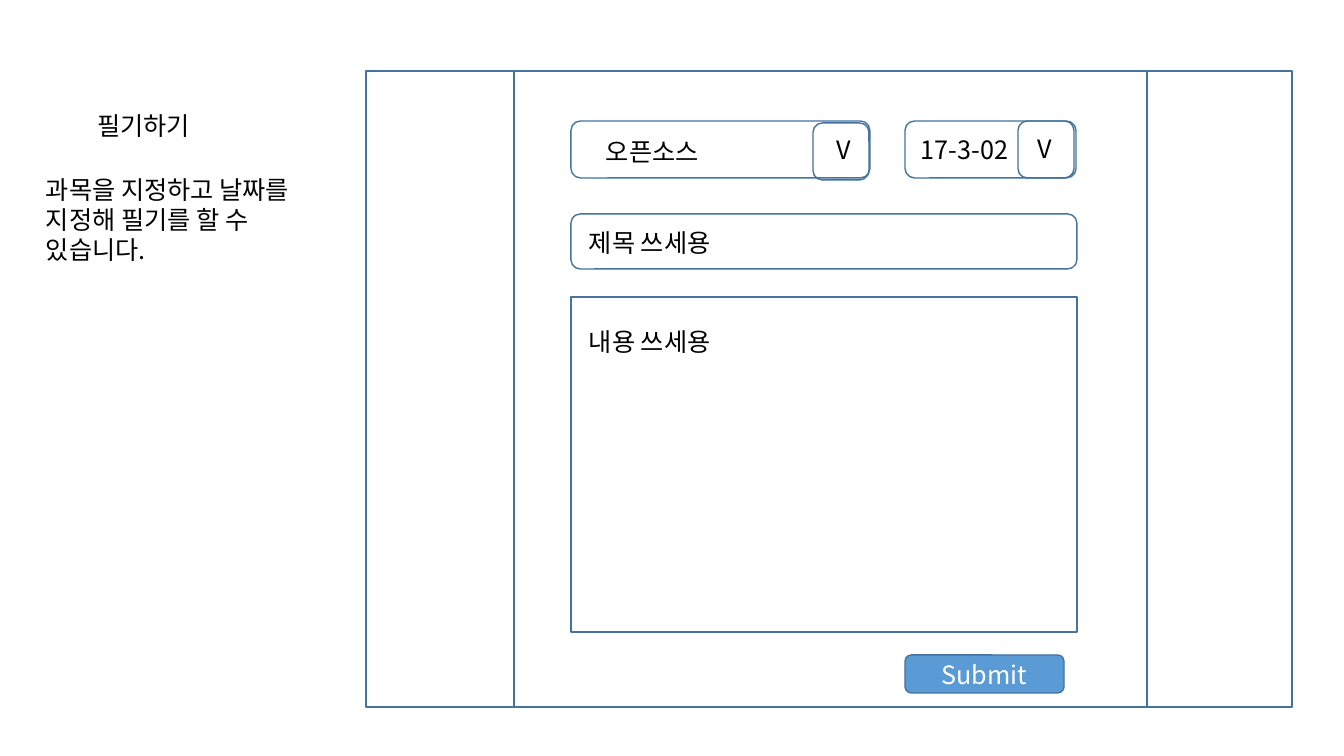
from dataclasses import dataclass

from lxml import etree
from pptx import Presentation
from pptx.dml.color import RGBColor
from pptx.enum.shapes import MSO_SHAPE
from pptx.enum.text import MSO_ANCHOR, MSO_AUTO_SIZE, PP_ALIGN
from pptx.oxml.ns import qn
from pptx.util import Pt

RECT = MSO_SHAPE.RECTANGLE
ROUND = MSO_SHAPE.ROUNDED_RECTANGLE
TOP, MIDDLE = MSO_ANCHOR.TOP, MSO_ANCHOR.MIDDLE
LEFT, CENTER = PP_ALIGN.LEFT, PP_ALIGN.CENTER
GROW = MSO_AUTO_SIZE.SHAPE_TO_FIT_TEXT
SCALE = 914400 / 100.8
TITLE_ONLY = 5


@dataclass(frozen=True)
class Theme:
    """Colours, type and line sizes of the slide."""
    ink: RGBColor = RGBColor(0, 0, 0)
    white: RGBColor = RGBColor(255, 255, 255)
    line: RGBColor = RGBColor.from_string("43739E")
    button: RGBColor = RGBColor.from_string("5B9BD5")
    font: str = "Noto Sans CJK KR"
    size: int = 18
    weight: int = 1


THEME = Theme()


def emu(*pixels):
    """Turn pixel lengths into EMU."""
    return [round(value * SCALE) for value in pixels]


def write(frame, text, color=THEME.ink, align=LEFT):
    """Write one run in the theme font."""
    para = frame.paragraphs[0]
    para.alignment = align
    para.line_spacing = 1.0
    run = para.add_run()
    run.text = text
    font = run.font
    font.name, font.size = THEME.font, Pt(THEME.size)
    font.color.rgb = color
    latin = run._r.rPr.find(qn("a:latin"))
    asian = etree.Element(qn("a:ea"), typeface=THEME.font)
    latin.addnext(asian)


def fit(frame, wrap):
    """Let a text frame grow from its top."""
    frame.word_wrap = wrap
    frame.auto_size = GROW
    frame.vertical_anchor = TOP


def title(slide, text, *box):
    """Place and fill the title."""
    head = slide.shapes.title
    head.left, head.top, head.width, head.height = emu(*box)
    fit(head.text_frame, False)
    write(head.text_frame, text)


def label(slide, text, *box, wrap=False):
    """Add a text box."""
    frame = slide.shapes.add_textbox(*emu(*box)).text_frame
    fit(frame, wrap)
    write(frame, text)


def panel(slide, kind, *box):
    """Add an outlined shape without fill."""
    shape = slide.shapes.add_shape(kind, *emu(*box))
    shape.shadow.inherit = False
    shape.fill.background()
    shape.line.color.rgb = THEME.line
    shape.line.width = Pt(THEME.weight)
    return shape


def button(slide, text, *box):
    """Add a filled button with a centred caption."""
    shape = panel(slide, ROUND, *box)
    shape.fill.solid()
    shape.fill.fore_color.rgb = THEME.button
    shape.text_frame.vertical_anchor = MIDDLE
    write(shape.text_frame, text, THEME.white, CENTER)


def picker(slide, text, field, caption, arrow, mark):
    """Add a drop-down field with its arrow box."""
    panel(slide, ROUND, *field)
    panel(slide, ROUND, *arrow, 56, 57)
    label(slide, text, *caption, 40)
    label(slide, "V", *mark, 36, 40)


def main():
    """Build and save the note form slide."""
    deck = Presentation()
    deck.slide_width, deck.slide_height = emu(1344, 756)
    slide = deck.slides.add_slide(deck.slide_layouts[TITLE_ONLY])
    title(slide, "필기하기", 87, 105, 122, 40)

    for left, width in ((366, 926), (514, 633)):
        panel(slide, RECT, left, 71, width, 636)
    picker(slide, "오픈소스", (571, 121, 299, 57), (596, 131, 122),
           (813, 123), (827, 129))
    picker(slide, "17-3-02", (905, 121, 171, 57), (911, 129, 111),
           (1018, 121), (1028, 128))

    fields = ((ROUND, 214, 55, "제목 쓰세용", 222),
              (RECT, 297, 335, "내용 쓰세용", 321))
    for kind, top, height, text, line in fields:
        panel(slide, kind, 571, top, 506, height)
        label(slide, text, 579, line, 156, 40)

    button(slide, "Submit", 905, 655, 159, 38)
    label(slide, "과목을 지정하고 날짜를 지정해 필기를 할 수 있습니다.",
          36, 169, 304, 102, wrap=True)
    deck.save("out.pptx")


main()
